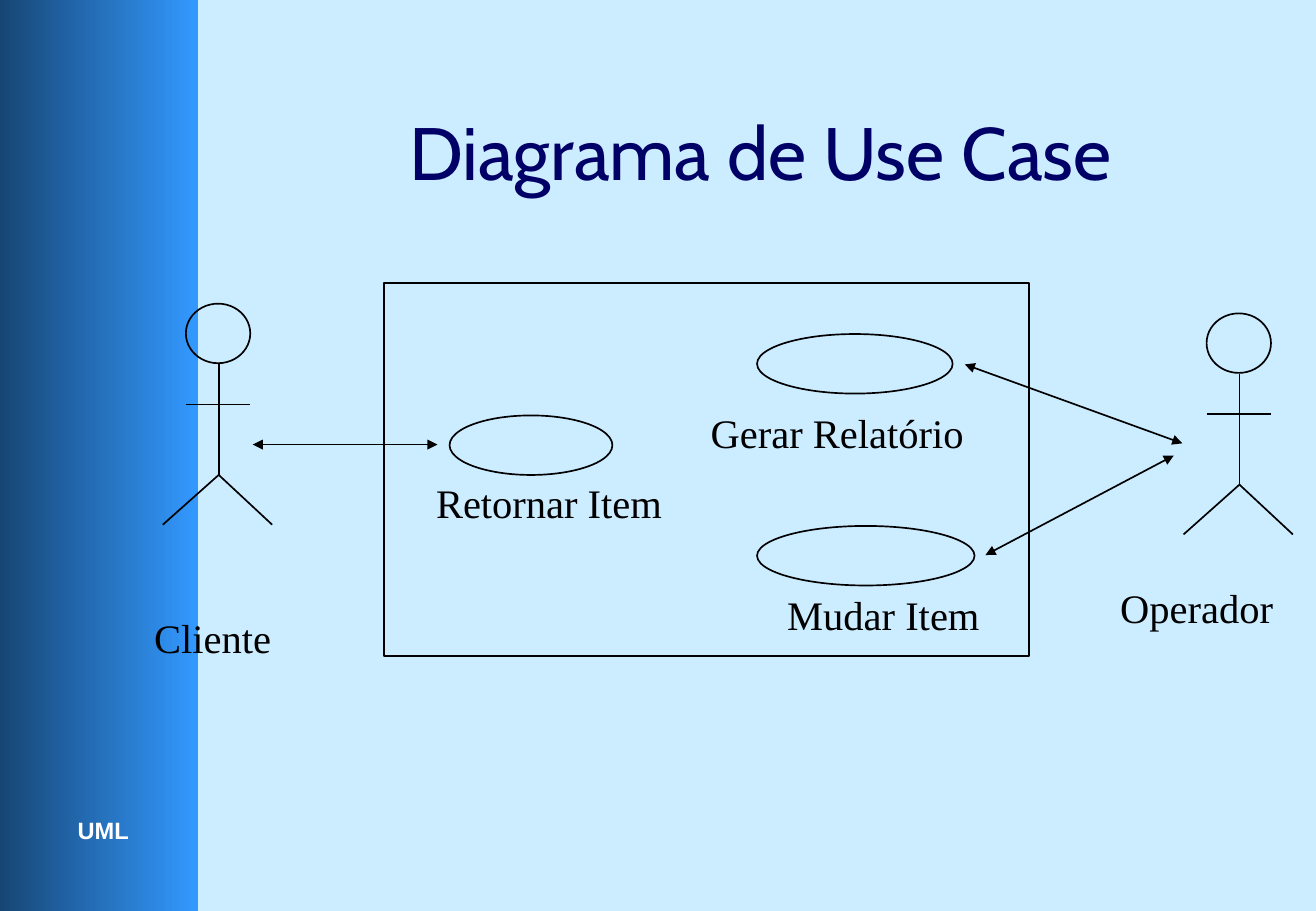
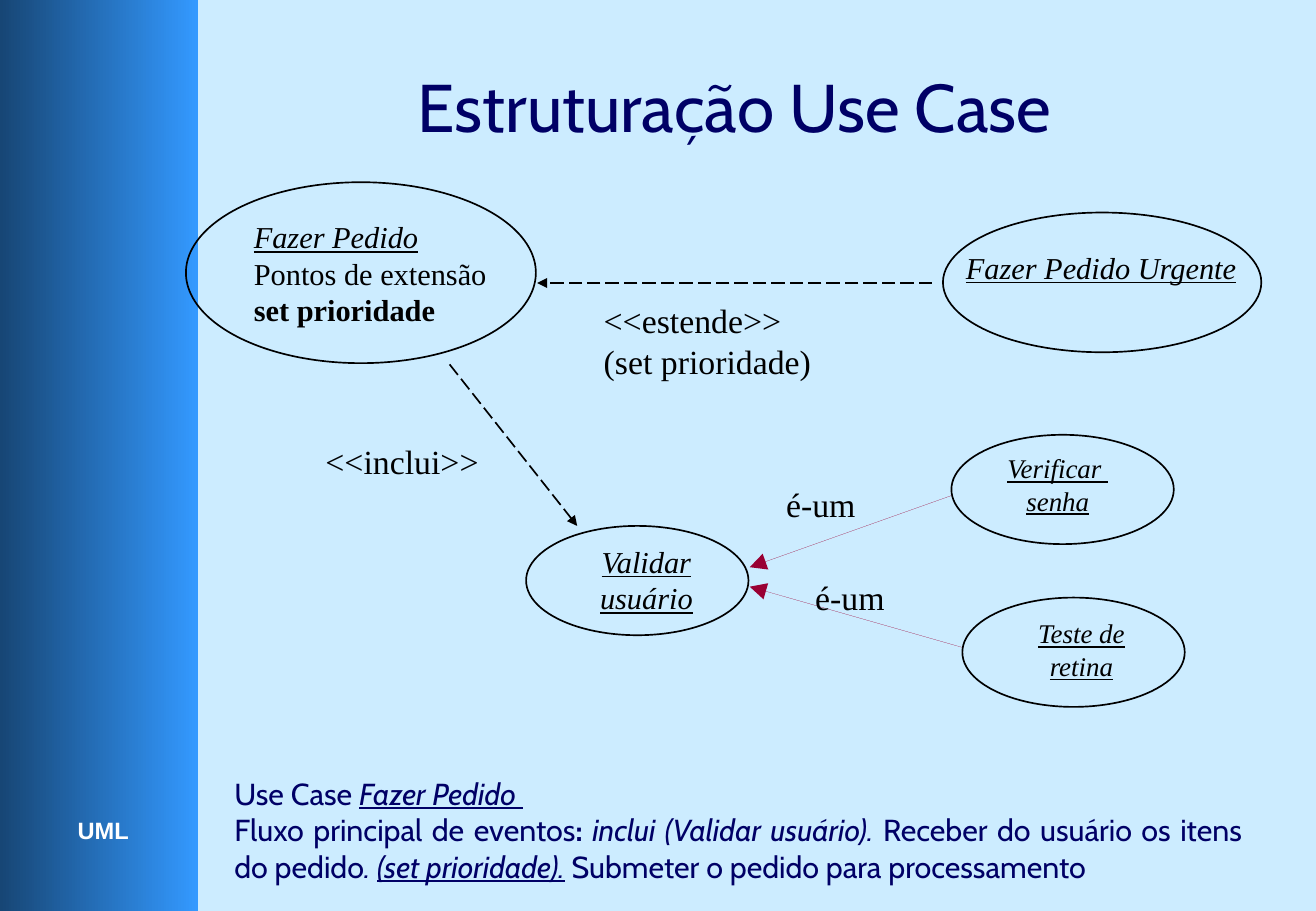
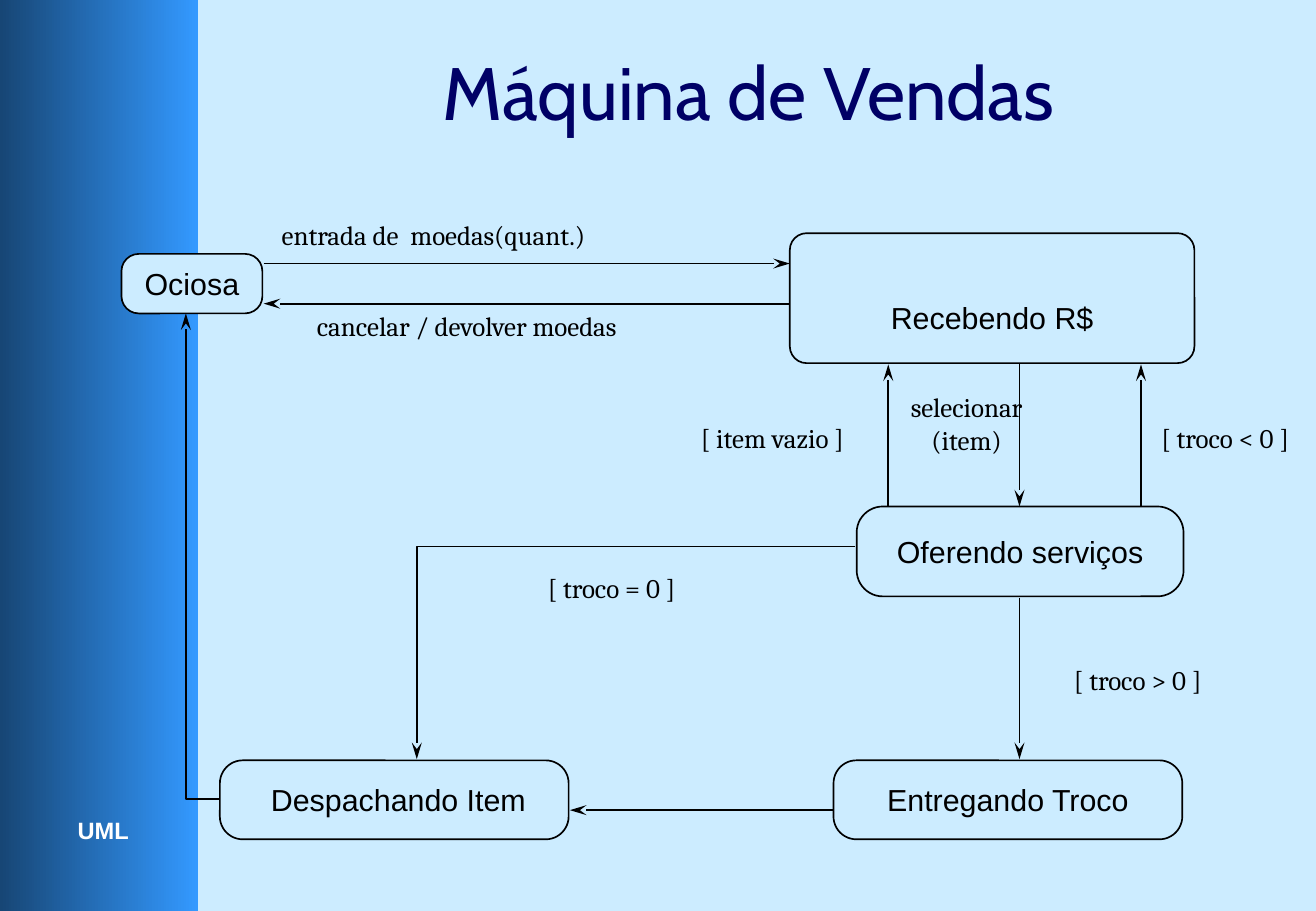
from dataclasses import dataclass

from lxml.etree import SubElement
from pptx import Presentation
from pptx.dml.color import RGBColor
from pptx.enum.dml import MSO_LINE
from pptx.enum.shapes import MSO_CONNECTOR, MSO_SHAPE
from pptx.enum.text import MSO_ANCHOR, MSO_AUTO_SIZE, PP_ALIGN
from pptx.oxml.ns import qn
from pptx.util import Inches, Pt


@dataclass(frozen=True)
class Theme:
    """Colours, fonts and type sizes of the deck."""

    sky: RGBColor = RGBColor(0xCC, 0xEC, 0xFF)
    band_light: RGBColor = RGBColor(0x33, 0x99, 0xFF)
    band_dark: RGBColor = RGBColor(0x17, 0x46, 0x75)
    navy: RGBColor = RGBColor(0x00, 0x00, 0x66)
    wine: RGBColor = RGBColor(0x99, 0x00, 0x33)
    ink: RGBColor = RGBColor(0, 0, 0)
    white: RGBColor = RGBColor(0xFF, 0xFF, 0xFF)
    heading: str = "Cabin"
    serif: str = "Times New Roman"
    sans: str = "Arial"
    transition: str = "Cambria"
    title_size: int = 44
    long_title_size: int = 40
    name_size: int = 24
    relation_size: int = 20
    text_size: int = 18
    small_size: int = 16
    footer_size: int = 14


THEME = Theme()


@dataclass(frozen=True)
class Run:
    """A piece of text with its own emphasis."""

    text: str
    bold: bool = False
    italic: bool = False
    underline: bool = False


Lines = tuple[tuple[Run, ...], ...]


@dataclass(frozen=True)
class Label:
    """A free text block."""

    x: float
    y: float
    width: float
    height: float
    lines: Lines
    size: int = THEME.name_size
    font: str = THEME.serif
    color: RGBColor = THEME.ink
    align: PP_ALIGN = PP_ALIGN.LEFT
    wrap: bool = False


@dataclass(frozen=True)
class Tip:
    """An arrowhead with its relative width and length."""

    kind: str
    width: str = "med"
    length: str = "med"


FLOW_TIP = Tip("triangle")
GENERAL_TIP = Tip("triangle", "lg", "lg")
STATE_TIP = Tip("stealth", length="lg")


@dataclass(frozen=True)
class Arrow:
    """A straight line between two points with optional arrowheads."""

    x1: float
    y1: float
    x2: float
    y2: float
    head: Tip | None = None
    tail: Tip | None = None
    color: RGBColor = THEME.ink
    weight: float = 1
    dashed: bool = False


@dataclass(frozen=True)
class State:
    """A rounded box of the state diagram."""

    x: float
    y: float
    width: float
    height: float
    name: str
    rounding: float = 0.29
    top_inset: float = 0.05


def plain(*texts: str) -> Lines:
    """Return one plain line per text."""
    return tuple((Run(text),) for text in texts)


def linked(*texts: str) -> Lines:
    """Return one italic underlined line per text."""
    return tuple((Run(text, italic=True, underline=True),) for text in texts)


def write(frame, lines: Lines, size: int, font: str, color: RGBColor, align: PP_ALIGN) -> None:
    """Fill a text frame run by run."""
    for index, line in enumerate(lines):
        paragraph = frame.paragraphs[0] if index == 0 else frame.add_paragraph()
        paragraph.alignment = align
        for part in line:
            run = paragraph.add_run()
            run.text = part.text
            run.font.size, run.font.name = Pt(size), font
            run.font.color.rgb = color
            run.font.bold, run.font.italic = part.bold, part.italic
            run.font.underline = part.underline


def add_label(slide, label: Label):
    """Draw a label and return its text box."""
    box = slide.shapes.add_textbox(
        Inches(label.x), Inches(label.y), Inches(label.width), Inches(label.height))
    box.text_frame.word_wrap = label.wrap
    box.text_frame.auto_size = MSO_AUTO_SIZE.SHAPE_TO_FIT_TEXT
    write(box.text_frame, label.lines, label.size, label.font, label.color, label.align)
    return box


def set_tips(outlined, head: Tip | None, tail: Tip | None) -> None:
    """Add arrowheads to an outline that is already formatted."""
    outline = outlined.element.spPr.find(qn("a:ln"))
    for tag, tip in (("a:headEnd", head), ("a:tailEnd", tail)):
        if tip:
            SubElement(outline, qn(tag), type=tip.kind, w=tip.width, len=tip.length)


def add_arrow(slide, arrow: Arrow) -> None:
    """Draw a straight connector without shadow."""
    connector = slide.shapes.add_connector(
        MSO_CONNECTOR.STRAIGHT, Inches(arrow.x1), Inches(arrow.y1),
        Inches(arrow.x2), Inches(arrow.y2))
    connector.line.color.rgb = arrow.color
    connector.line.width = Pt(arrow.weight)
    if arrow.dashed:
        connector.line.dash_style = MSO_LINE.LONG_DASH
    set_tips(connector, arrow.head, arrow.tail)
    SubElement(connector.element.spPr, qn("a:effectLst"))


def add_outline(slide, kind: MSO_SHAPE, x: float, y: float, width: float, height: float):
    """Draw an unfilled preset shape with a thin black outline."""
    shape = slide.shapes.add_shape(kind, Inches(x), Inches(y), Inches(width), Inches(height))
    shape.shadow.inherit = False
    shape.fill.background()
    shape.line.color.rgb = THEME.ink
    shape.line.width = Pt(1)
    return shape


def add_actor(slide, x: float, y: float) -> None:
    """Draw a stick figure whose head starts at the given corner."""
    add_outline(slide, MSO_SHAPE.OVAL, x, y, 0.53, 0.49)
    hip_x, hip_y = x + 0.27, y + 1.41
    for limb in (
        Arrow(hip_x, y + 0.5, hip_x, hip_y),
        Arrow(hip_x, hip_y, x - 0.19, y + 1.82),
        Arrow(hip_x, hip_y, x + 0.71, y + 1.82),
        Arrow(x, y + 0.83, x + 0.53, y + 0.83),
    ):
        add_arrow(slide, limb)


def add_state(slide, state: State) -> None:
    """Draw a named rounded state."""
    box = add_outline(
        slide, MSO_SHAPE.ROUNDED_RECTANGLE, state.x, state.y, state.width, state.height)
    box.adjustments[0] = state.rounding
    box.fill.solid()
    box.fill.fore_color.rgb = THEME.sky
    frame = box.text_frame
    frame.word_wrap = False
    frame.vertical_anchor = MSO_ANCHOR.MIDDLE
    frame.margin_top = Inches(state.top_inset)
    write(frame, plain(state.name), THEME.text_size, THEME.sans, THEME.ink, PP_ALIGN.CENTER)


def add_elbow(slide, points: tuple[tuple[float, float], ...]) -> None:
    """Draw an open bent path that ends in an arrowhead."""
    corners = [(Inches(x), Inches(y)) for x, y in points]
    builder = slide.shapes.build_freeform(*corners[0], scale=1.0)
    builder.add_line_segments(corners[1:], close=False)
    route = builder.convert_to_shape()
    route.shadow.inherit = False
    route.fill.background()
    route.line.color.rgb = THEME.ink
    route.line.width = Pt(1)
    set_tips(route, None, STATE_TIP)


def add_titled_slide(deck, text: str, x: float, y: float, width: float, height: float,
                     size: int = THEME.title_size,
                     anchor: MSO_ANCHOR = MSO_ANCHOR.BOTTOM):
    """Add a slide and format its title placeholder."""
    slide = deck.slides.add_slide(deck.slide_layouts[5])
    title = slide.shapes.title
    title.left, title.top = Inches(x), Inches(y)
    title.width, title.height = Inches(width), Inches(height)
    title.text_frame.auto_size = MSO_AUTO_SIZE.NONE
    title.text_frame.vertical_anchor = anchor
    write(title.text_frame, plain(text), size, THEME.heading, THEME.navy, PP_ALIGN.CENTER)
    return slide


def set_up_layout(deck, slide) -> None:
    """Put the background, side band and footer on the shared layout."""
    layout = slide.slide_layout
    layout.background.fill.solid()
    layout.background.fill.fore_color.rgb = THEME.sky
    band = slide.shapes.add_shape(MSO_SHAPE.RECTANGLE, 0, 0, Inches(1.63), deck.slide_height)
    band.shadow.inherit = False
    band.fill.gradient()
    band.fill.gradient_angle = 180
    for position, (stop, color) in enumerate(
            zip(band.fill.gradient_stops, (THEME.band_light, THEME.band_dark))):
        stop.color.rgb = color
        stop.position = position
    band.line.fill.background()
    footer = add_label(slide, Label(
        0.54, 6.67, 0.62, 0.34, ((Run("UML", bold=True),),), THEME.footer_size,
        THEME.sans, THEME.white, PP_ALIGN.CENTER))
    for part in (band, footer):
        layout.shapes.element.append(part.element)


def build_use_cases(deck) -> None:
    """Build the use case diagram."""
    slide = add_titled_slide(deck, "Diagrama de Use Case", 1.93, 0.33, 8.66, 1.33)
    set_up_layout(deck, slide)
    add_outline(slide, MSO_SHAPE.RECTANGLE, 3.16, 2.33, 5.31, 3.07)
    for x, y, width in ((3.7, 3.42, 1.34), (6.23, 2.75, 1.61), (6.23, 4.33, 1.79)):
        add_outline(slide, MSO_SHAPE.OVAL, x, y, width, 0.49)
    for x, y in ((1.53, 2.5), (9.93, 2.58)):
        add_actor(slide, x, y)
    for ends in ((2.08, 3.66, 3.6, 3.66), (7.94, 3, 9.73, 3.65), (9.66, 3.75, 8.11, 4.57)):
        add_arrow(slide, Arrow(*ends, head=FLOW_TIP, tail=FLOW_TIP))
    for x, y, width, name in (
        (5.75, 3.31, 2.28, "Gerar Relatório"),
        (3.49, 3.89, 2.06, "Retornar Item"),
        (6.38, 4.81, 1.78, "Mudar Item"),
    ):
        add_label(slide, Label(x, y, width, 0.5, plain(name)))
    for x, y, name in ((1.17, 5, "Cliente"), (9.12, 4.75, "Operador")):
        add_label(slide, Label(x, y, 1.71, 0.5, plain(name), wrap=True))


def build_structure(deck) -> None:
    """Build the use case structuring diagram."""
    slide = add_titled_slide(
        deck, "Estruturação Use Case", 1.76, 0.33, 8.57, 0.92, THEME.long_title_size)
    for x, y, width, height in (
        (1.53, 1.5, 2.88, 1.49), (7.76, 1.75, 2.62, 1.15),
        (4.33, 4.33, 1.83, 0.9), (7.83, 3.58, 1.83, 0.9), (7.92, 4.92, 1.83, 0.9),
    ):
        add_outline(slide, MSO_SHAPE.OVAL, x, y, width, height)
    for ends in ((7.67, 2.33, 4.42, 2.33), (3.7, 3, 4.75, 4.33)):
        add_arrow(slide, Arrow(*ends, tail=FLOW_TIP, dashed=True))
    for ends in ((7.83, 4.08, 6.17, 4.67), (7.92, 5.33, 6.17, 4.83)):
        add_arrow(slide, Arrow(*ends, tail=GENERAL_TIP, color=THEME.wine, weight=0.01))
    order = linked("Fazer Pedido") + plain("Pontos de extensão") + (
        (Run("set prioridade", bold=True),),)
    flow = (
        (Run("Use Case "), Run("Fazer Pedido ", italic=True, underline=True)),
        (
            Run("Fluxo principal de eventos"),
            Run(": ", bold=True),
            Run("inclui (Validar usuário). ", italic=True),
            Run("Receber do usuário os itens do pedido"),
            Run(". ", italic=True),
            Run("(set prioridade).", italic=True, underline=True),
            Run(" ", italic=True),
            Run("Submeter o pedido para processamento"),
        ),
    )
    relation, text, small = THEME.relation_size, THEME.text_size, THEME.small_size
    center = PP_ALIGN.CENTER
    for label in (
        Label(4.87, 2.42, 3.07, 0.76, plain("<<estende>>", "(set prioridade)"),
              relation, wrap=True),
        Label(2.58, 3.58, 1.6, 0.43, plain("<<inclui>>"), relation, wrap=True),
        Label(6.37, 3.93, 0.77, 0.44, plain("é-um"), relation, align=center),
        Label(6.61, 4.7, 0.77, 0.44, plain("é-um"), relation, align=center),
        Label(1.99, 1.75, 2.71, 1, order, text, wrap=True),
        Label(7.85, 2, 2.71, 0.7, linked("Fazer Pedido Urgente"), text, wrap=True),
        Label(4.72, 4.42, 1.2, 0.7, linked("Validar", "usuário"), text, align=center),
        Label(8.08, 3.67, 1.25, 0.64, linked("Verificar ", "senha"), small,
              align=center, wrap=True),
        Label(8.3, 5.03, 1.2, 0.64, linked("Teste de", "retina"), small, align=center),
        Label(1.83, 6.33, 8.49, 1, flow, text, THEME.heading, THEME.navy,
              PP_ALIGN.JUSTIFY, True),
    ):
        add_label(slide, label)


def build_vending_machine(deck) -> None:
    """Build the state diagram of the vending machine."""
    slide = add_titled_slide(
        deck, "Máquina de Vendas", 1.92, 0.17, 8.48, 1.25, anchor=MSO_ANCHOR.MIDDLE)
    slide.shapes.title.text_frame.paragraphs[0].line_spacing = 0.9
    for state in (
        State(1, 2.09, 1.16, 0.49, "Ociosa"),
        State(6.5, 1.92, 3.33, 1.07, "Recebendo R$", 0.13, 0.36),
        State(7.05, 4.17, 2.69, 0.74, "Oferendo serviços"),
        State(6.86, 6.26, 2.87, 0.65, "Entregando Troco"),
        State(1.81, 6.26, 2.87, 0.65, " Despachando Item"),
    ):
        add_state(slide, state)
    add_elbow(slide, ((1.8, 6.58), (1.53, 6.58), (1.53, 2.58)))
    add_elbow(slide, ((7.04, 4.5), (3.43, 4.5), (3.43, 6.25)))
    for ends in (
        (8.39, 4.92, 8.39, 6.25), (6.86, 6.67, 4.69, 6.67), (7.31, 4.17, 7.31, 3),
        (8.39, 3, 8.39, 4.17), (9.39, 4.17, 9.39, 3),
        (2.17, 2.17, 6.5, 2.17), (6.5, 2.5, 2.17, 2.5),
    ):
        add_arrow(slide, Arrow(*ends, tail=STATE_TIP))
    for x, y, width, event in (
        (2.22, 1.75, 2.7, "entrada de  moedas(quant.)"),
        (2.51, 2.5, 2.94, "cancelar / devolver moedas"),
        (5.67, 3.42, 1.53, "[ item vazio ]"),
        (9.46, 3.42, 1.36, "[ troco < 0 ]"),
        (8.74, 5.41, 1.36, "[ troco > 0 ]"),
        (4.41, 4.66, 1.36, "[ troco = 0 ]"),
    ):
        add_label(slide, Label(
            x, y, width, 0.37, plain(event), THEME.small_size, THEME.transition))
    add_label(slide, Label(
        7.34, 3.17, 1.23, 0.63, plain("selecionar", "(item)"), THEME.small_size,
        THEME.transition, align=PP_ALIGN.CENTER))


def main() -> None:
    """Build and save the deck."""
    deck = Presentation()
    deck.slide_width, deck.slide_height = Inches(10.83), Inches(7.5)
    build_use_cases(deck)
    build_structure(deck)
    build_vending_machine(deck)
    deck.save("out.pptx")


if __name__ == "__main__":
    main()
